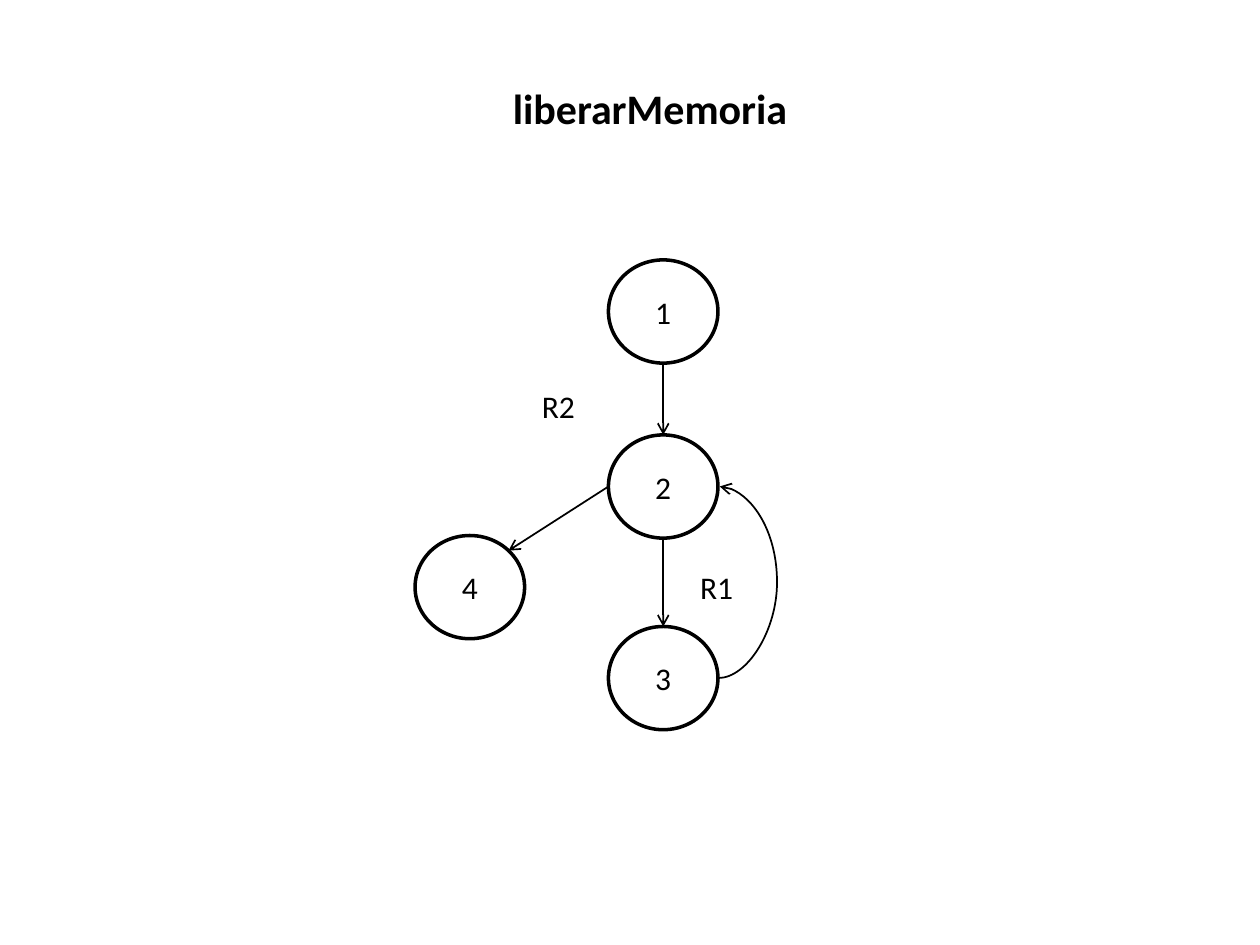
from pptx import Presentation
from pptx.util import Pt
from pptx.dml.color import RGBColor
from pptx.enum.shapes import MSO_SHAPE, MSO_CONNECTOR as LINK
from pptx.enum.text import PP_ALIGN as ALIGN, MSO_ANCHOR as ANCHOR, MSO_AUTO_SIZE as FIT
from lxml.etree import SubElement
from pptx.oxml.ns import qn

BLACK = RGBColor(0, 0, 0)
NODE_W, NODE_H = 62.6, 59
MAIN_X = 379

# number: (centre x, centre y)
NODES = {
    "1": (MAIN_X, 178),
    "2": (MAIN_X, 278),
    "3": (MAIN_X, 387.5),
    "4": (268.5, 335.5),
}


def write(shape, text, size=18, bold=False, align=ALIGN.LEFT):
    """Put one line of black Calibri text in a shape."""
    shape.text_frame.text = text
    para = shape.text_frame.paragraphs[0]
    para.alignment = align
    font = para.runs[0].font
    font.name, font.size, font.bold = "Calibri", Pt(size), bold
    font.color.rgb = BLACK


def add_arrow(kind, start, end):
    """Draw a thin black connector with an open arrowhead at its end."""
    arrow = page.shapes.add_connector(kind, *[Pt(v) for v in (*start, *end)])
    arrow.line.color.rgb = BLACK
    arrow.line.width = Pt(1)
    SubElement(arrow.line._get_or_add_ln(), qn("a:tailEnd"), type="arrow")
    SubElement(arrow._element.spPr, qn("a:effectLst"))
    return arrow


deck = Presentation()
deck.slide_width, deck.slide_height = Pt(720), Pt(540)
page = deck.slides.add_slide(deck.slide_layouts[6])

# Nodes
for number, (x, y) in NODES.items():
    node = page.shapes.add_shape(
        MSO_SHAPE.OVAL, Pt(x - NODE_W / 2), Pt(y - NODE_H / 2), Pt(NODE_W), Pt(NODE_H))
    node.name = f"Node {number}"
    node.shadow.inherit = False
    node.fill.background()
    node.line.color.rgb = BLACK
    node.line.width = Pt(2)
    node.text_frame.vertical_anchor = ANCHOR.MIDDLE
    write(node, number, align=ALIGN.CENTER)

# Downward arrows between the nodes of the main column
for upper, lower in (("1", "2"), ("2", "3")):
    add_arrow(LINK.STRAIGHT,
              (MAIN_X, NODES[upper][1] + NODE_H / 2),
              (MAIN_X, NODES[lower][1] - NODE_H / 2))

# Exit from node 2 to the upper right of node 4
diagonal = 0.5 ** 0.5
exit_x, exit_y = NODES["4"]
add_arrow(LINK.STRAIGHT,
          (MAIN_X - NODE_W / 2, NODES["2"][1]),
          (exit_x + diagonal * NODE_W / 2, exit_y - diagonal * NODE_H / 2))

# Loop back from node 3 to node 2, bulging 34 times its own width of 1 pt
right = MAIN_X + NODE_W / 2
loop = add_arrow(LINK.CURVE, (right, NODES["3"][1]), (right + 1, NODES["2"][1]))
guides = loop._element.spPr.find(qn("a:prstGeom")).get_or_add_avLst()
SubElement(guides, qn("a:gd"), name="adj1", fmla="val 3400000")

# Region labels
for label, left, top in (("R1", 393, 321), ("R2", 302.5, 217.5)):
    box = page.shapes.add_textbox(Pt(left), Pt(top), Pt(34), Pt(29))
    box.text_frame.word_wrap = False
    box.text_frame.auto_size = FIT.SHAPE_TO_FIT_TEXT
    write(box, label)

# Title
title = page.shapes.add_textbox(Pt(247), Pt(43.5), Pt(249), Pt(36))
title.text_frame.word_wrap = True
title.text_frame.auto_size = FIT.SHAPE_TO_FIT_TEXT
write(title, "liberarMemoria", size=24, bold=True, align=ALIGN.CENTER)

deck.save("out.pptx")
